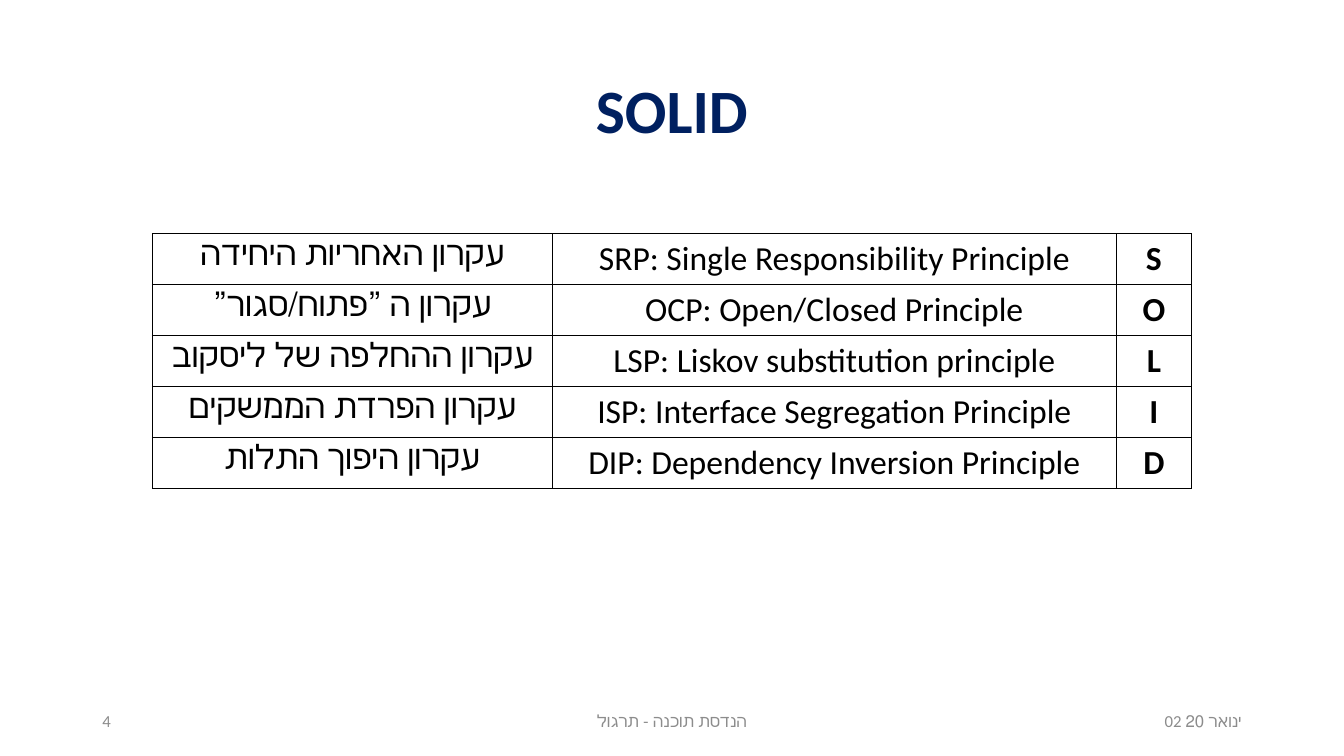
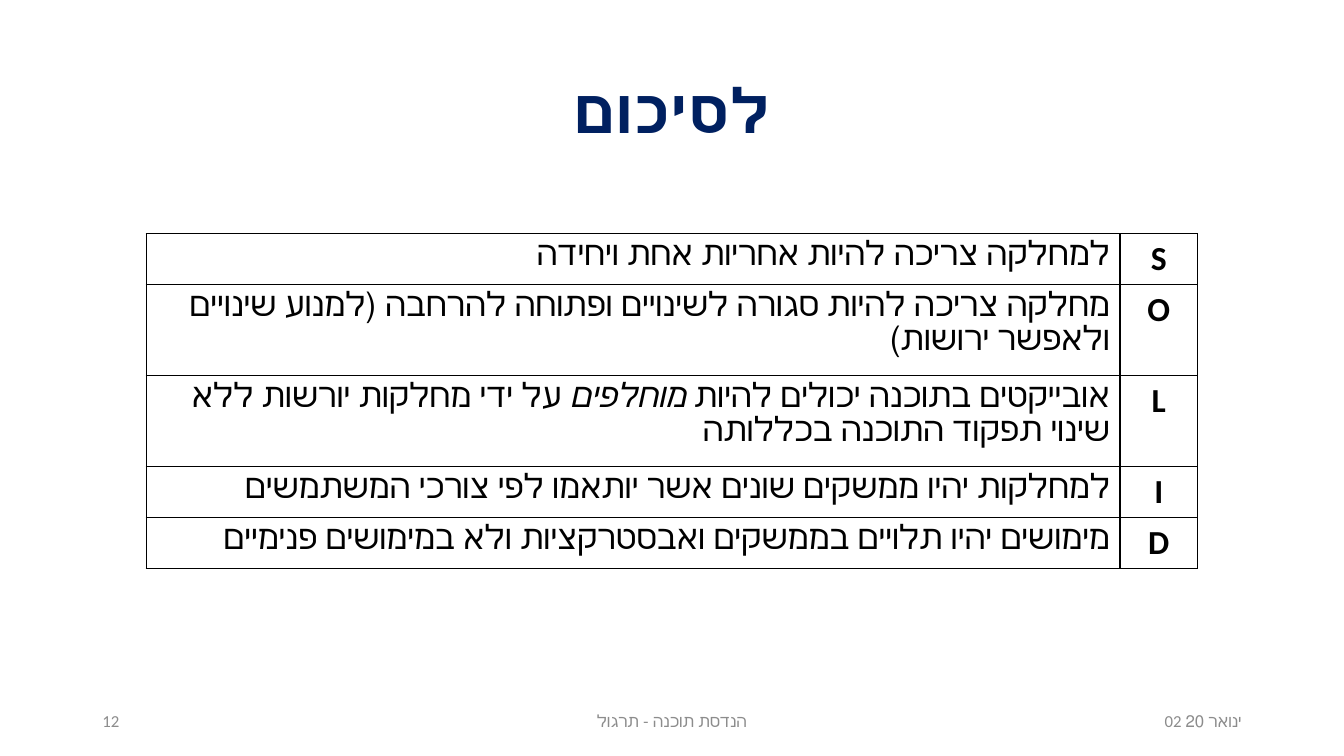
from lxml import etree
from pptx import Presentation
from pptx.dml.color import RGBColor
from pptx.enum.text import MSO_ANCHOR, MSO_AUTO_SIZE, PP_ALIGN
from pptx.oxml.ns import qn
from pptx.util import Pt

LEFT, MID, RIGHT = PP_ALIGN.LEFT, PP_ALIGN.CENTER, PP_ALIGN.RIGHT
CENTRE = MSO_ANCHOR.MIDDLE
FIXED = MSO_AUTO_SIZE.NONE

FONT = "Calibri"
NAVY, GREY, BLACK = "002060", "8C8C8C", "000000"
WIDE, HIGH = 960, 540
EDGE = 66
TOP, ROW = 167, 36.4
DATE = "02 ינואר 20"
COURSE = "הנדסת תוכנה - תרגול"

# A cell is a string, or a tuple of runs in which every second one is italic
SLIDES = [
    {
        "title": "SOLID",
        "page": "4",
        "cols": (285.5, 403, 53.5),
        "align": (MID, MID, MID),
        "rows": [
            ("עקרון האחריות היחידה", "SRP: Single Responsibility Principle", "S"),
            ("עקרון ה ”פתוח/סגור”", "OCP: Open/Closed Principle", "O"),
            ("עקרון ההחלפה של ליסקוב", "LSP: Liskov substitution principle", "L"),
            ("עקרון הפרדת הממשקים", "ISP: Interface Segregation Principle", "I"),
            ("עקרון היפוך התלות", "DIP: Dependency Inversion Principle", "D"),
        ],
    },
    {
        "title": "לסיכום",
        "page": "12",
        "cols": (695.5, 55.5),
        "align": (RIGHT, MID),
        "rows": [
            ("למחלקה צריכה להיות אחריות אחת ויחידה", "S"),
            ("מחלקה צריכה להיות סגורה לשינויים ופתוחה להרחבה "
             "(למנוע שינויים ולאפשר ירושות)", "O"),
            (("אובייקטים בתוכנה יכולים להיות ", "מוחלפים",
              " על ידי מחלקות יורשות ללא שינוי תפקוד התוכנה בכללותה"), "L"),
            ("למחלקות יהיו ממשקים שונים אשר יותאמו לפי צורכי המשתמשים", "I"),
            ("מימושים יהיו תלויים בממשקים ואבסטרקציות ולא במימושים פנימיים", "D"),
        ],
    },
]


def color(code):
    return RGBColor.from_string(code)


def write(frame, text, size, tint, align, bold=False, rtl=False):
    para = frame.paragraphs[0]
    para.alignment = align
    if rtl:
        para._p.get_or_add_pPr().set("rtl", "1")
    parts = (text,) if isinstance(text, str) else text
    for num, part in enumerate(parts):
        run = para.add_run()
        run.text = part
        font = run.font
        font.name, font.size = FONT, Pt(size)
        font.bold, font.italic = bold, num % 2 == 1
        font.color.rgb = color(tint)
    return para


def add_title(slide, text):
    box = slide.shapes.title
    box.left, box.top = Pt(EDGE), Pt(29)
    box.width, box.height = Pt(WIDE - 2 * EDGE), Pt(104)
    frame = box.text_frame
    frame.auto_size = FIXED
    frame.vertical_anchor = CENTRE
    para = write(frame, text, 44, NAVY, MID, bold=True, rtl=True)
    para.line_spacing = 0.9


def add_foot(slide, page):
    side, mid = 216, 324
    for text, left, width, align in (
        (DATE, WIDE - EDGE - side, side, RIGHT),
        (COURSE, (WIDE - mid) / 2, mid, MID),
        (page, EDGE, side, LEFT),
    ):
        box = slide.shapes.add_textbox(Pt(left), Pt(500.5), Pt(width), Pt(28.8))
        frame = box.text_frame
        frame.word_wrap = True
        frame.vertical_anchor = CENTRE
        write(frame, text, 12, GREY, align)


def add_edges(cell):
    props = cell._tc.get_or_add_tcPr()
    for side in ("a:lnL", "a:lnR", "a:lnT", "a:lnB"):
        line = etree.SubElement(props, qn(side), w=str(Pt(1)))
        fill = etree.SubElement(line, qn("a:solidFill"))
        etree.SubElement(fill, qn("a:srgbClr"), val=BLACK)


def add_grid(slide, cols, align, rows):
    width = sum(cols)
    table = slide.shapes.add_table(
        len(rows), len(cols), Pt((WIDE - width) / 2), Pt(TOP),
        Pt(width), Pt(ROW * len(rows))).table
    table.first_row = table.horz_banding = False
    for col, size in zip(table.columns, cols):
        col.width = Pt(size)
    for r, row in enumerate(rows):
        table.rows[r].height = Pt(ROW)
        for c, text in enumerate(row):
            cell = table.cell(r, c)
            add_edges(cell)
            cell.fill.background()
            last = c == len(cols) - 1
            write(cell.text_frame, text, 24, BLACK, align[c], bold=last, rtl=True)


def main():
    deck = Presentation()
    deck.slide_width, deck.slide_height = Pt(WIDE), Pt(HIGH)
    for data in SLIDES:
        slide = deck.slides.add_slide(deck.slide_layouts[5])
        add_title(slide, data["title"])
        add_foot(slide, data["page"])
        add_grid(slide, data["cols"], data["align"], data["rows"])
    deck.save("out.pptx")


if __name__ == "__main__":
    main()
